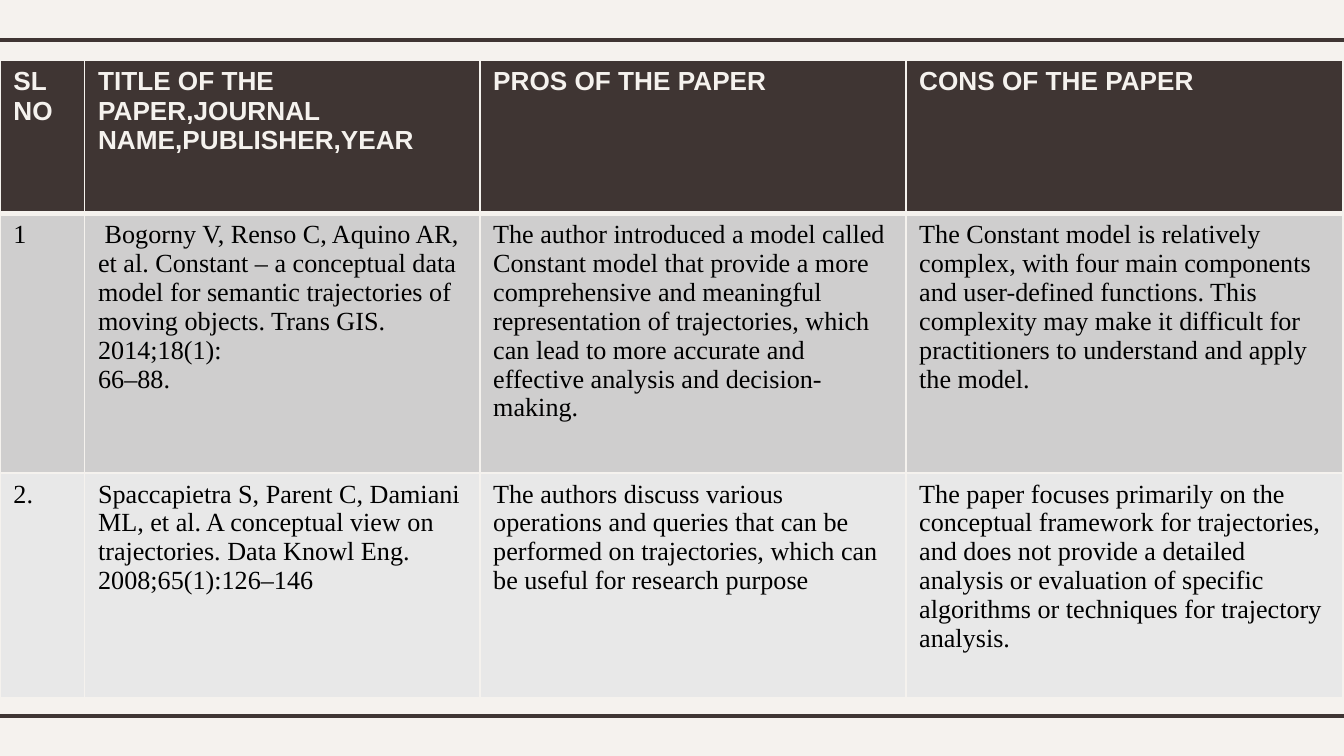
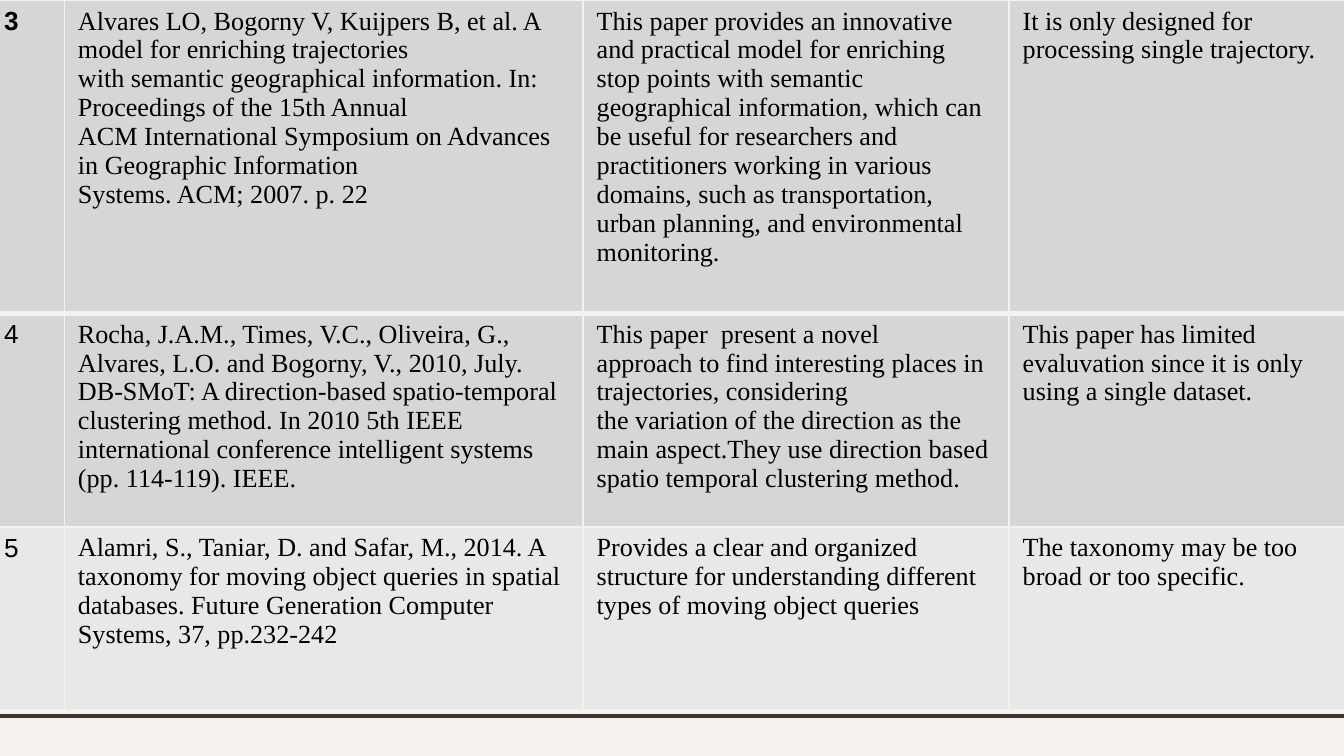
from lxml import etree
from pptx import Presentation
from pptx.dml.color import RGBColor
from pptx.enum.shapes import MSO_CONNECTOR
from pptx.oxml.ns import qn
from pptx.util import Inches, Pt

STRAIGHT = MSO_CONNECTOR.STRAIGHT

CREAM = RGBColor(0xF5, 0xF2, 0xEE)
BROWN = RGBColor(0x3F, 0x35, 0x33)
BLACK = RGBColor(0x00, 0x00, 0x00)
DARK_GREY = RGBColor(0xCF, 0xCE, 0xCE)
MID_GREY = RGBColor(0xD6, 0xD6, 0xD6)
LIGHT_GREY = RGBColor(0xE8, 0xE8, 0xE8)

SANS = "Arial"
SERIF = "Times New Roman"
TEXT_SIZE = Pt(14)

SLIDE_WIDTH = Inches(10)
SLIDE_HEIGHT = SLIDE_WIDTH * 9 // 16
RULE_TOPS = (0.3, 5.33)
RULE_LEFT, RULE_RIGHT = -0.08, 10.08

REVIEWS = [
    {
        "left": 0,
        "top": 0.45,
        "columns": (0.63, 2.94, 3.17, 3.25),
        "heights": (1.14, 1.93, 1.67),
        "fills": (BROWN, DARK_GREY, LIGHT_GREY),
        "header": True,
        "number_font": SERIF,
        "rows": [
            (
                "SL NO",
                "TITLE OF THE PAPER,JOURNAL NAME,PUBLISHER,YEAR",
                "PROS OF THE PAPER",
                "CONS OF THE PAPER",
            ),
            (
                "1",
                " Bogorny V, Renso C, Aquino AR, et al. Constant – a conceptual data\n"
                "model for semantic trajectories of moving objects. Trans GIS. 2014;18(1):\n"
                "66–88.",
                "The author introduced a model called Constant model that provide a more "
                "comprehensive and meaningful representation of trajectories, which can lead "
                "to more accurate and effective analysis and decision-making.",
                "The Constant model is relatively complex, with four main components and "
                "user-defined functions. This complexity may make it difficult for "
                "practitioners to understand and apply the model.",
            ),
            (
                "2.",
                "Spaccapietra S, Parent C, Damiani ML, et al. A conceptual view on "
                "trajectories. Data Knowl Eng. 2008;65(1):126–146",
                "The authors discuss various operations and queries that can be performed on "
                "trajectories, which can be useful for research purpose",
                "The paper focuses primarily on the conceptual framework for trajectories, "
                "and does not provide a detailed analysis or evaluation of specific "
                "algorithms or techniques for trajectory analysis.",
            ),
        ],
    },
    {
        "left": -0.07,
        "top": 0,
        "columns": (0.55, 3.86, 3.17, 2.5),
        "heights": (2.33, 1.59, 1.36),
        "fills": (MID_GREY, MID_GREY, LIGHT_GREY),
        "header": False,
        "number_font": SANS,
        "rows": [
            (
                "3",
                "Alvares LO, Bogorny V, Kuijpers B, et al. A model for enriching trajectories\n"
                "with semantic geographical information. In: Proceedings of the 15th Annual\n"
                "ACM International Symposium on Advances in Geographic Information\n"
                "Systems. ACM; 2007. p. 22",
                "This paper provides an innovative and practical model for enriching stop "
                "points with semantic geographical information, which can be useful for "
                "researchers and practitioners working in various domains, such as "
                "transportation, urban planning, and environmental monitoring.",
                "It is only designed for processing single trajectory.",
            ),
            (
                "4",
                "Rocha, J.A.M., Times, V.C., Oliveira, G., Alvares, L.O. and Bogorny, V., "
                "2010, July. DB-SMoT: A direction-based spatio-temporal clustering method. "
                "In 2010 5th IEEE international conference intelligent systems "
                "(pp. 114-119). IEEE.",
                "This paper  present a novel\n"
                "approach to find interesting places in trajectories, considering\n"
                "the variation of the direction as the main aspect.They use direction based "
                "spatio temporal clustering method.",
                "This paper has limited evaluvation since it is only using a single dataset.",
            ),
            (
                "5",
                "Alamri, S., Taniar, D. and Safar, M., 2014. A taxonomy for moving object "
                "queries in spatial databases. Future Generation Computer Systems, 37, "
                "pp.232-242",
                "Provides a clear and organized structure for understanding different types "
                "of moving object queries",
                "The taxonomy may be too broad or too specific.",
            ),
        ],
    },
]


def add_rules(slide):
    for top in RULE_TOPS:
        rule = slide.shapes.add_connector(
            STRAIGHT, Inches(RULE_LEFT), Inches(top), Inches(RULE_RIGHT), Inches(top)
        )
        rule.line.color.rgb = BROWN
        rule.line.width = Pt(2.25)
        etree.SubElement(rule._element.spPr, qn("a:effectLst"))


def set_borders(cell, row_index):
    properties = cell._tc.get_or_add_tcPr()
    widths = {
        "a:lnL": 1,
        "a:lnR": 1,
        "a:lnT": 3 if row_index == 1 else 1,
        "a:lnB": 3 if row_index == 0 else 1,
    }
    for position, (tag, width) in enumerate(widths.items()):
        border = etree.Element(qn(tag), w=str(Pt(width)))
        fill = etree.SubElement(border, qn("a:solidFill"))
        etree.SubElement(fill, qn("a:srgbClr"), val=str(CREAM))
        properties.insert(position, border)


def write_cell(cell, text, font_name, color, bold):
    cell.text = text
    for para in cell.text_frame.paragraphs:
        para.font.name = font_name
        para.font.size = TEXT_SIZE
        para.font.color.rgb = color
        para.font.bold = bold


def add_review_table(slide, review):
    rows, columns, heights = review["rows"], review["columns"], review["heights"]
    frame = slide.shapes.add_table(
        len(rows), len(columns), Inches(review["left"]), Inches(review["top"]),
        Inches(sum(columns)), Inches(sum(heights)),
    )
    table = frame.table
    table.first_row = review["header"]
    table.horz_banding = False
    for column, width in zip(table.columns, columns):
        column.width = Inches(width)
    for row_index, texts in enumerate(rows):
        table.rows[row_index].height = Inches(heights[row_index])
        is_header = review["header"] and row_index == 0
        for column_index, text in enumerate(texts):
            cell = table.cell(row_index, column_index)
            cell.fill.solid()
            cell.fill.fore_color.rgb = review["fills"][row_index]
            set_borders(cell, row_index)
            is_number = column_index == 0
            body_font = review["number_font"] if is_number else SERIF
            write_cell(
                cell,
                text,
                SANS if is_header else body_font,
                CREAM if is_header else BLACK,
                is_header or (is_number and row_index == 0),
            )


def main():
    deck = Presentation()
    deck.slide_width = SLIDE_WIDTH
    deck.slide_height = SLIDE_HEIGHT
    background = deck.slide_master.background.fill
    background.solid()
    background.fore_color.rgb = CREAM
    blank_layout = deck.slide_layouts[6]
    for review in REVIEWS:
        slide = deck.slides.add_slide(blank_layout)
        add_rules(slide)
        add_review_table(slide, review)
    deck.save("out.pptx")


if __name__ == "__main__":
    main()
